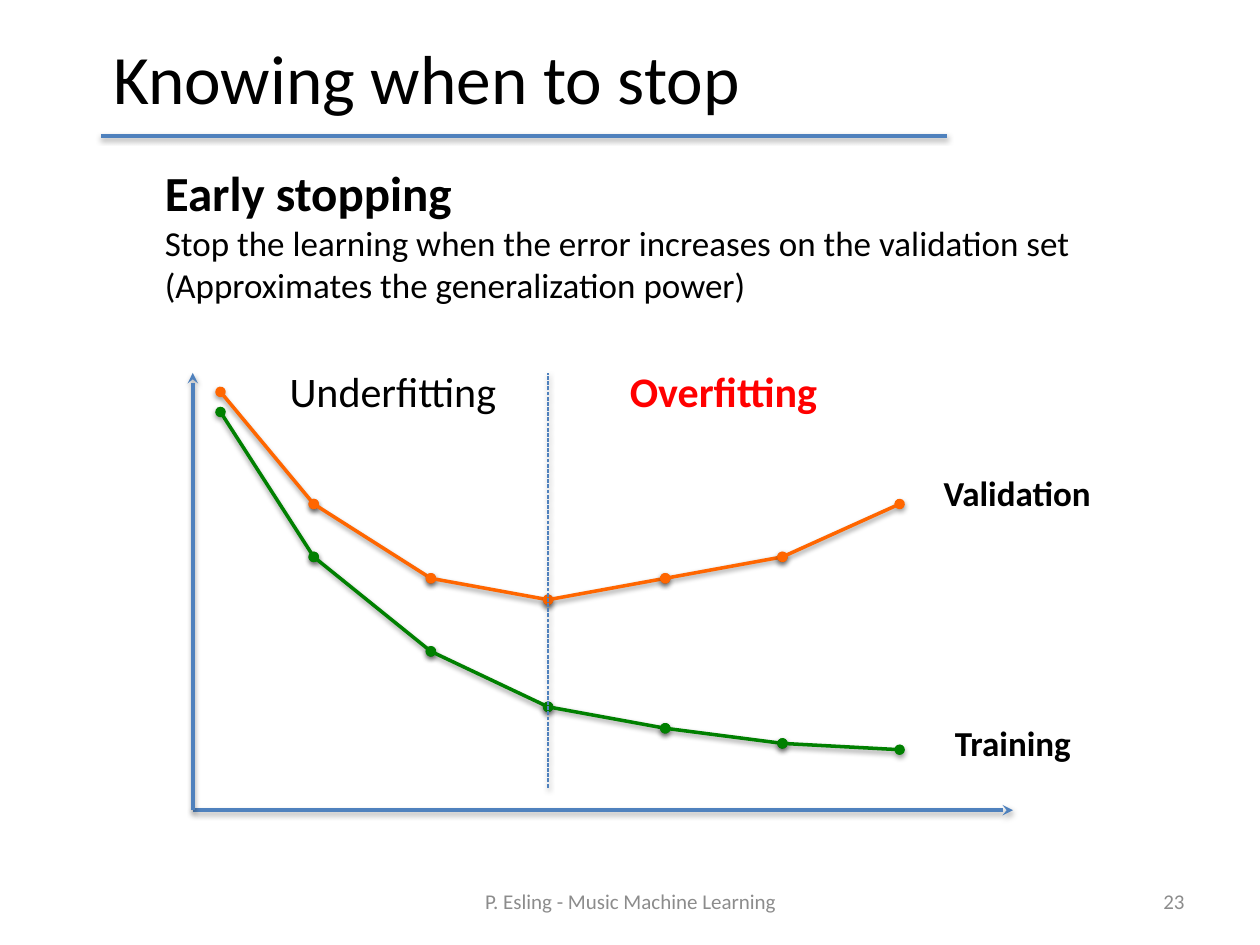
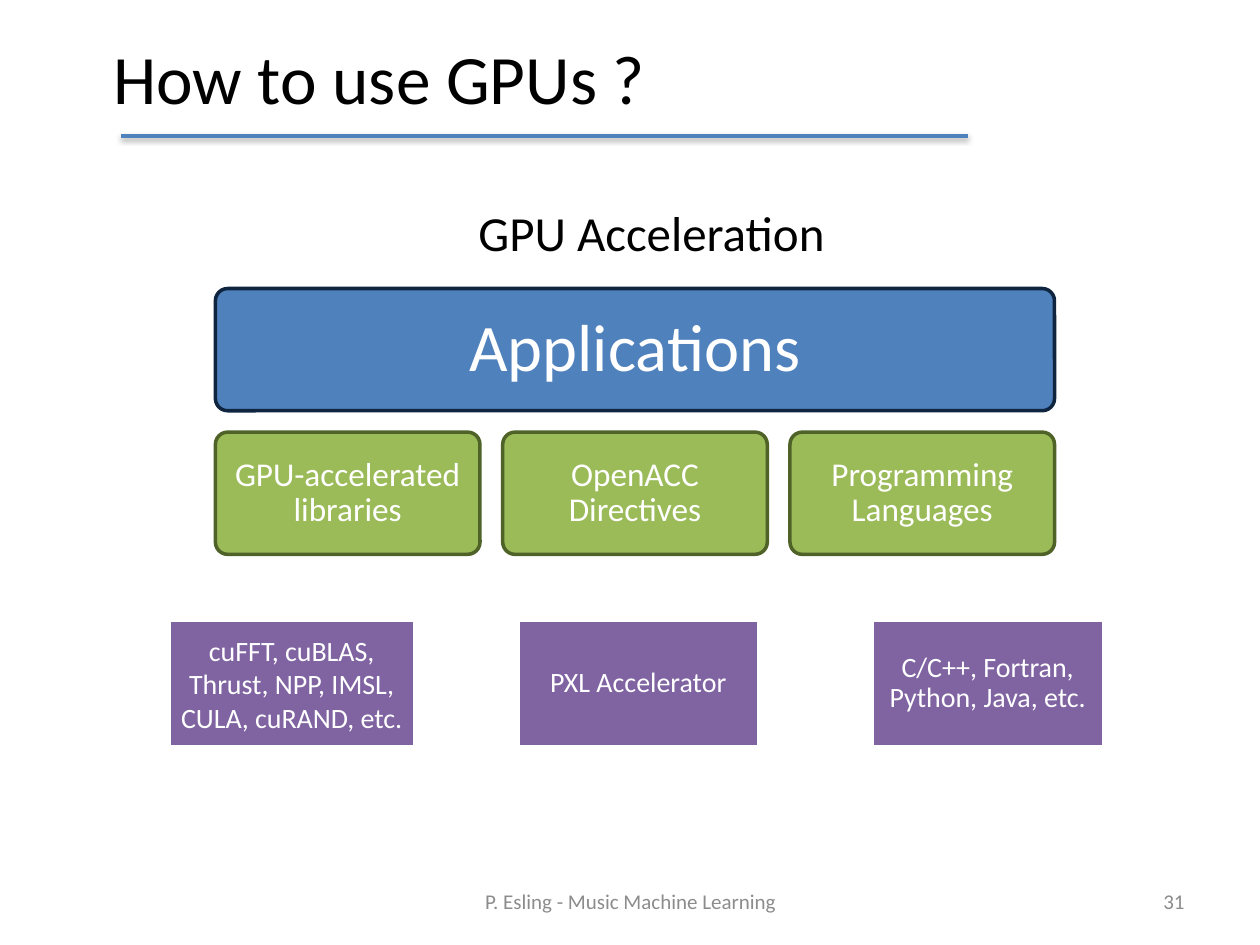
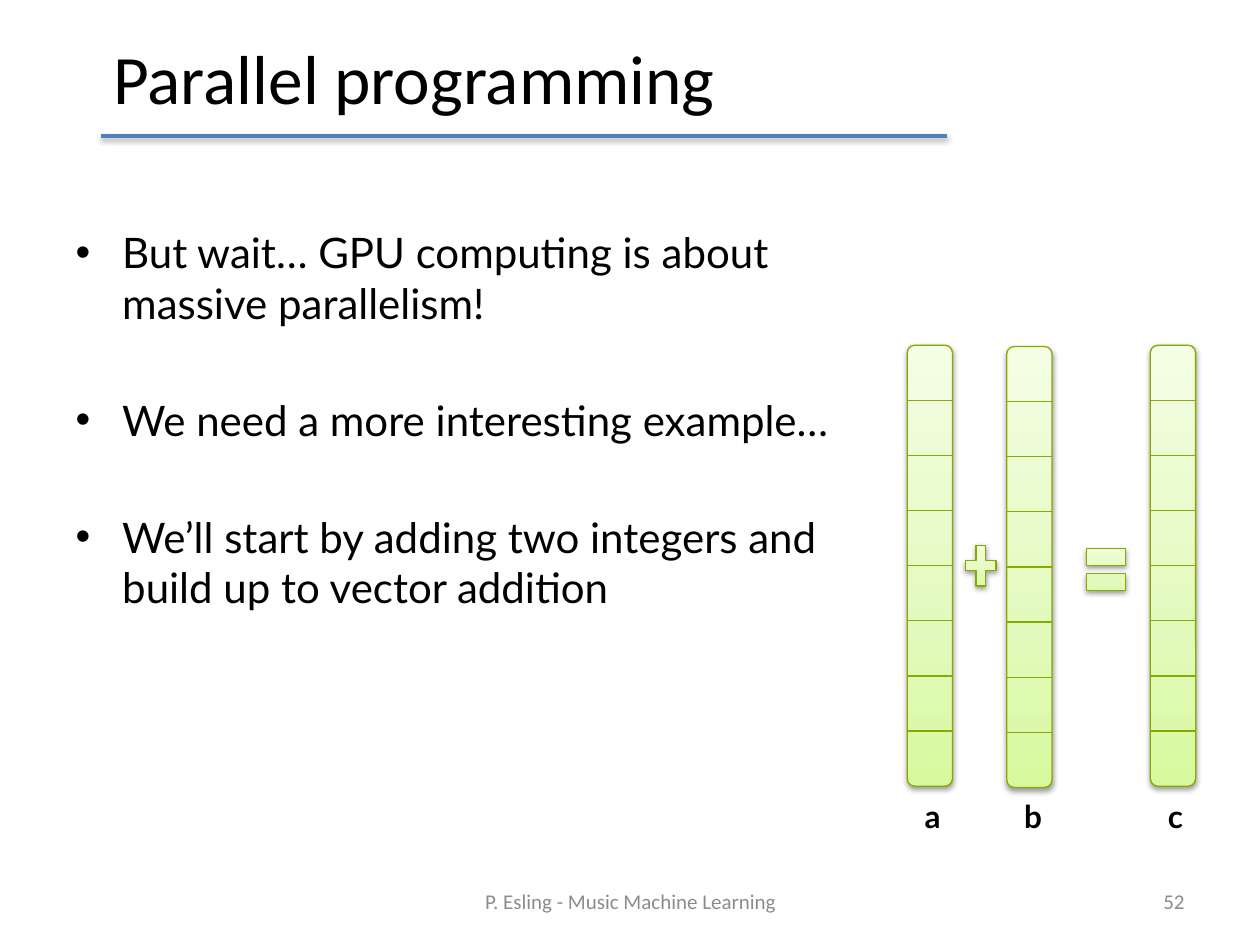
from dataclasses import dataclass
from lxml.etree import SubElement
from pptx import Presentation
from pptx.dml.color import RGBColor as RGB
from pptx.enum.dml import MSO_LINE as Dash
from pptx.enum.shapes import MSO_CONNECTOR as Link, MSO_SHAPE as Form
from pptx.enum.text import MSO_ANCHOR as Anchor, MSO_AUTO_SIZE as Fit, PP_ALIGN as Align
from pptx.oxml.ns import qn
from pptx.util import Inches, Pt


@dataclass(frozen=True)
class Theme:
    font: str = "Calibri"
    alt: str = "Lato"
    ink: str = "000000"
    white: str = "FFFFFF"
    gray: str = "8C8C8C"
    blue: str = "4F81BD"
    navy: str = "0F243E"
    green: str = "9BBB59"
    moss: str = "4F6228"
    plum: str = "8064A2"
    red: str = "FF0000"
    warm: str = "FF6600"
    leaf: str = "008000"
    edge: str = "87A900"
    fade: tuple = ((0, "D7F99E"), (35, "E2FABC"), (100, "F4FEE4"))
    title: float = 39.6
    large: int = 38
    head: int = 28
    body: int = 24
    text: int = 20
    box: int = 19
    mark: int = 18
    note: int = 16
    foot: int = 12


T = Theme()
WIDE, HIGH = 10, 7.5
FOOT = "P. Esling - Music Machine Learning"

# Content: early stopping
STOP = [("Early stopping", T.head, True),
        ("Stop the learning when the error increases on the validation set", T.text, False),
        ("(Approximates the generalization power)", T.text, False)]
STEPS = [1.75] + [2.49 + 0.93 * i for i in range(6)]
CURVES = [(T.warm, [3.11, 4, 4.59, 4.76, 4.59, 4.42, 4]),
          (T.leaf, [3.27, 4.42, 5.17, 5.61, 5.78, 5.9, 5.95])]
LABELS = [("Validation", (7.39, 3.69, 1.4, 0.44), T.text, T.ink, True),
          ("Training", (7.48, 5.68, 1.15, 0.44), T.text, T.ink, True),
          ("Underfitting", (2.2, 2.85, 1.86, 0.5), T.body, T.ink, False),
          ("Overfitting", (4.9, 2.85, 1.71, 0.5), T.body, T.red, True)]

# Content: ways to use a GPU
WAYS = ["GPU-accelerated libraries", "OpenACC Directives", "Programming Languages"]
TOOLS = [("cuFFT, cuBLAS, Thrust, NPP, IMSL, CULA, cuRAND, etc.", 1.34, 1.95, 1),
         ("PXL Accelerator", 4.11, 1.91, 0.9),
         ("C/C++, Fortran, Python, Java, etc.", 6.92, 1.84, 0.9)]

# Content: adding vectors
POINTS = ["But wait… GPU computing is about massive parallelism!",
          "We need a more interesting example…",
          "We’ll start by adding two integers and build up to vector addition"]
BARS = [("a", 7.2, 2.74), ("b", 7.99, 2.75), ("c", 9.13, 2.74)]
SIGNS = [(Form.MATH_PLUS, (7.62, 4.27, 0.33, 0.44)),
         (Form.MATH_EQUAL, (8.57, 4.24, 0.42, 0.56))]
CELLS = 8


# Helpers
def units(at):
    return [Inches(v) for v in at]


def place(shape, at):
    shape.left, shape.top, shape.width, shape.height = units(at)


def write(par, text, size, color=T.ink, bold=False, font=T.font):
    run = par.add_run()
    run.text = text
    run.font.name, run.font.size, run.font.bold = font, Pt(size), bold
    run.font.color.rgb = RGB.from_string(color)


def shade(shape):
    """Give a shape or line the soft shadow below it."""
    prop = shape._element.spPr
    fx = prop.find(qn("a:effectLst"))
    if fx is None:
        fx = SubElement(prop, qn("a:effectLst"))
    cast = SubElement(fx, qn("a:outerShdw"), blurRad=str(Pt(3.1)), dist=str(Pt(1.6)),
                      dir="5400000", rotWithShape="0")
    tone = SubElement(cast, qn("a:srgbClr"), val=T.ink)
    SubElement(tone, qn("a:alpha"), val="38000")


def line(slide, start, end, color=T.blue, width=2, dash=None, head=None, tail=None, soft=True):
    rule = slide.shapes.add_connector(Link.STRAIGHT, *units(start + end))
    rule.line.color.rgb = RGB.from_string(color)
    rule.line.width = Pt(width)
    if dash:
        rule.line.dash_style = dash
    for tag, kind in (("a:headEnd", head), ("a:tailEnd", tail)):
        if kind:
            SubElement(rule.line._get_or_add_ln(), qn(tag), type=kind)
    if soft:
        shade(rule)
    else:
        SubElement(rule._element.spPr, qn("a:effectLst"))


def shape(slide, form, at, edge, width, fill=None):
    item = slide.shapes.add_shape(form, *units(at))
    item.shadow.inherit = False
    item.line.color.rgb = RGB.from_string(edge)
    item.line.width = Pt(width)
    if fill:
        item.fill.solid()
        item.fill.fore_color.rgb = RGB.from_string(fill)
    return item


def card(slide, form, at, text, size, fill, edge, pad, space=0.9):
    item = shape(slide, form, at, edge, 2, fill)
    if form == Form.ROUNDED_RECTANGLE:
        item.adjustments[0] = 0.1
    frame = item.text_frame
    frame.word_wrap, frame.vertical_anchor = True, Anchor.MIDDLE
    frame.margin_left = frame.margin_right = Inches(pad)
    frame.margin_top = frame.margin_bottom = Inches(pad)
    par = frame.paragraphs[0]
    par.alignment, par.line_spacing = Align.CENTER, space
    write(par, text, size, T.white)


def tinted(slide, form, at):
    item = shape(slide, form, at, T.edge, 0.75)
    grad = SubElement(item._element.spPr, qn("a:gradFill"), rotWithShape="1")
    stops = SubElement(grad, qn("a:gsLst"))
    for pos, color in T.fade:
        stop = SubElement(stops, qn("a:gs"), pos=str(pos * 1000))
        SubElement(stop, qn("a:srgbClr"), val=color)
    SubElement(grad, qn("a:lin"), ang="16200000", scaled="0")
    item._element.spPr.find(qn("a:prstGeom")).addnext(grad)
    shade(item)


def label(slide, at, parts, align=Align.LEFT, wrap=False, font=T.font, space=None,
          anchor=Anchor.TOP, fit=Fit.SHAPE_TO_FIT_TEXT):
    """Add a text box with one paragraph per (text, size, bold, color) part."""
    frame = slide.shapes.add_textbox(*units(at)).text_frame
    frame.word_wrap, frame.auto_size, frame.vertical_anchor = wrap, fit, anchor
    for i, (text, size, bold, color) in enumerate(parts):
        par = frame.add_paragraph() if i else frame.paragraphs[0]
        par.alignment = align
        if space:
            par.line_spacing = space
        write(par, text, size, color, bold, font)


def start(deck, layout, title, num, left=0.8, width=7.24):
    """Add a slide with the shared title, rule and footer."""
    slide = deck.slides.add_slide(deck.slide_layouts[layout])
    head = slide.shapes.title
    place(head, (0.8, 0.25, width, 0.72))
    head.text_frame.auto_size = Fit.NONE
    head.text_frame.vertical_anchor = Anchor.MIDDLE
    par = head.text_frame.paragraphs[0]
    par.alignment = Align.LEFT
    write(par, title, T.title)
    for at, text, align in (((3.42, 6.95, 3.17, 0.4), FOOT, Align.CENTER),
                            ((7.17, 6.95, 2.33, 0.4), str(num), Align.RIGHT)):
        label(slide, at, [(text, T.foot, False, T.gray)], align, True,
              anchor=Anchor.MIDDLE, fit=Fit.NONE)
    line(slide, (left, 1.08), (left + 6.72, 1.08))
    return slide


# Slides
def stopping(deck):
    slide = start(deck, 5, "Knowing when to stop", 23)
    label(slide, (1.21, 1.24, 7.46, 1.25), [part + (T.ink,) for part in STOP])
    base = (1.53, 6.43)
    for tip in ((8.04, 6.43), (1.53, 2.96)):
        line(slide, base, tip, tail="stealth")
    for color, levels in CURVES:
        dots = list(zip(STEPS, levels))
        for one, two in zip(dots, dots[1:]):
            line(slide, one, two, color, head="oval", tail="oval")
    line(slide, (STEPS[3], 6.25), (STEPS[3], 2.96), width=0.75, dash=Dash.SQUARE_DOT)
    for text, at, size, color, bold in LABELS:
        label(slide, at, [(text, size, bold, color)])


def layers(deck):
    slide = start(deck, 5, "How to use GPUs ?", 31, left=0.96)
    label(slide, (1.67, 1.09, 7, 0.9), [("GPU Acceleration", T.head, False, T.ink)],
          Align.CENTER, True, space=2)
    left, span, gap, tall = 1.71, 6.66, 0.18, 0.97
    card(slide, Form.ROUNDED_RECTANGLE, (left, 2.29, span, tall), "Applications",
         T.large, T.blue, T.navy, 0.19)
    width = (span - gap * (len(WAYS) - 1)) / len(WAYS)
    for i, text in enumerate(WAYS):
        card(slide, Form.ROUNDED_RECTANGLE, (left + i * (width + gap), 3.43, width, tall),
             text, T.box, T.green, T.moss, 0.11)
    for text, x, wide, space in TOOLS:
        card(slide, Form.RECTANGLE, (x, 4.92, wide, 1.01), text, T.note,
             T.plum, T.white, 0.07, space)


def vectors(deck):
    slide = start(deck, 1, "Parallel programming", 52, width=9.2)
    body = slide.placeholders[1]
    place(body, (0.5, 1.75, 6.4, 5.17))
    frame = body.text_frame
    frame.auto_size = Fit.NONE
    for i, text in enumerate(POINTS):
        par = frame.add_paragraph() if i else frame.paragraphs[0]
        prop = par._p.get_or_add_pPr()
        prop.set("marL", str(Inches(0.37)))
        prop.set("indent", str(-Inches(0.37)))
        par.space_before = Pt(38 if i else 0)
        write(par, text, T.body, font=T.alt)
    wide, tall = 0.36, 3.5
    for name, x, top in BARS:
        tinted(slide, Form.ROUNDED_RECTANGLE, (x, top, wide, tall))
        for i in range(1, CELLS):
            y = top + i * tall / CELLS
            line(slide, (x, y), (x + wide, y), T.edge, 0.75, soft=False)
        label(slide, (x + 0.04, 6.28, 0.34, 0.4), [(name, T.mark, True, T.ink)], font=T.alt)
    for form, at in SIGNS:
        tinted(slide, form, at)


def main():
    deck = Presentation()
    deck.slide_width, deck.slide_height = Inches(WIDE), Inches(HIGH)
    for build in (stopping, layers, vectors):
        build(deck)
    deck.save("out.pptx")


if __name__ == "__main__":
    main()
